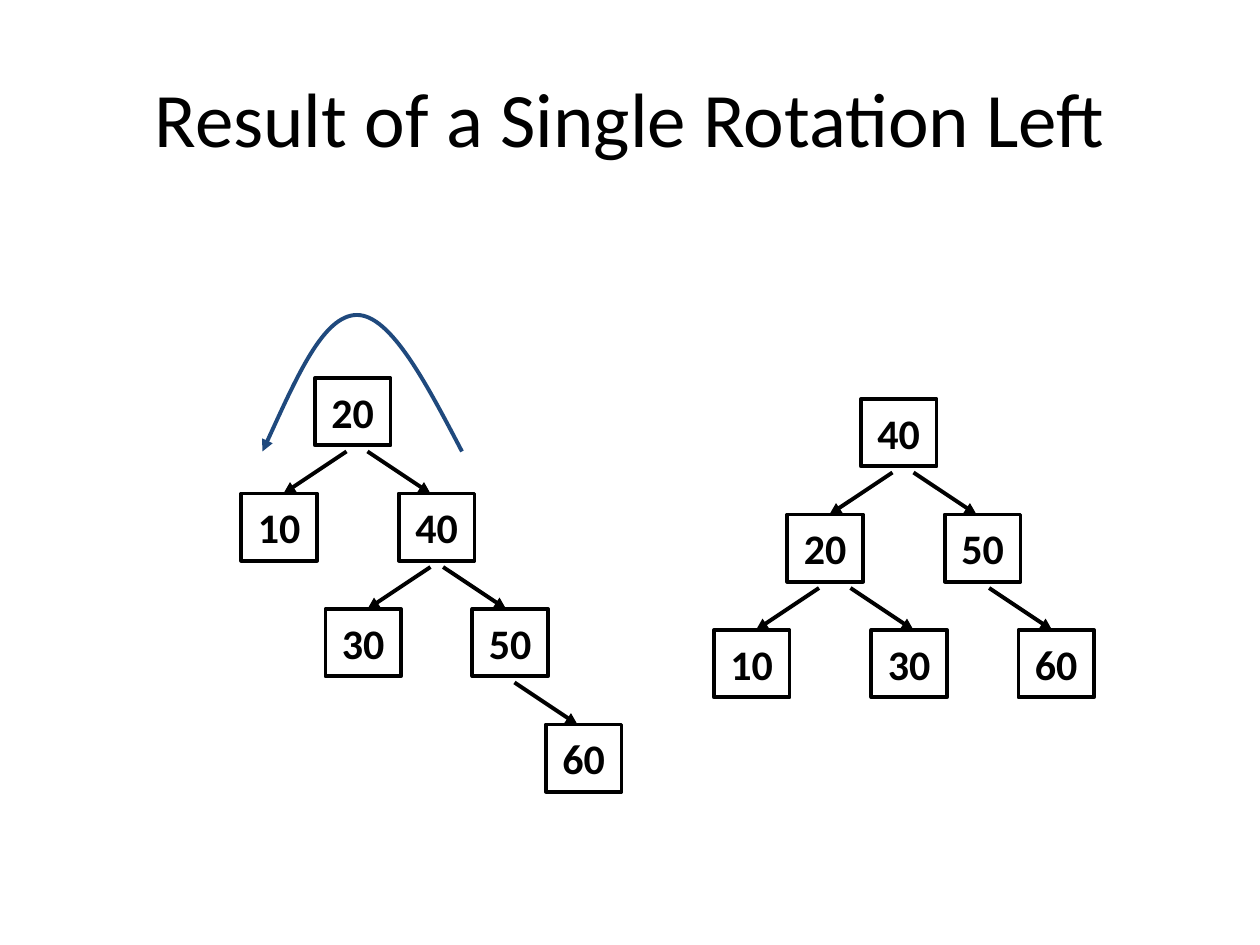
from typing import NamedTuple

from lxml.etree import SubElement
from pptx import Presentation
from pptx.dml.color import RGBColor
from pptx.enum.shapes import MSO_CONNECTOR as Connector, MSO_SHAPE as Shape
from pptx.enum.text import MSO_ANCHOR as Anchor, PP_ALIGN as Align
from pptx.oxml.ns import qn
from pptx.util import Emu, Pt

EMU_PER_PX = 7620
COLORS = {"black": "000000", "white": "FFFFFF", "blue": "1F497D"}
FONT = "Calibri"
NODE_WIDTH, NODE_HEIGHT = 72, 64
ARROW_DROP, ARROW_WIDTH, ARROW_HEIGHT = 70, 60, 40


class Node(NamedTuple):
    label: str
    left: int
    top: int


class Arrow(NamedTuple):
    left: int
    top: int
    direction: int


class Tree(NamedTuple):
    nodes: list[Node]
    arrows: list[Arrow]


BEFORE = Tree(
    [Node("20", 300, 360), Node("10", 230, 470), Node("40", 380, 470),
     Node("30", 310, 580), Node("50", 450, 580), Node("60", 520, 690)],
    [Arrow(330, 360, -1), Arrow(350, 360, 1), Arrow(410, 470, -1),
     Arrow(422, 470, 1), Arrow(490, 580, 1)],
)
AFTER = Tree(
    [Node("40", 820, 380), Node("20", 750, 490), Node("50", 900, 490),
     Node("10", 680, 600), Node("30", 830, 600), Node("60", 970, 600)],
    [Arrow(850, 380, -1), Arrow(870, 380, 1), Arrow(780, 490, -1),
     Arrow(810, 490, 1), Arrow(942, 490, 1)],
)
CURVE_START = (250, 430)
CURVE_POINTS = [(280, 365), (308, 300), (340, 300),
                (372, 300), (406, 365), (440, 430)]


def px(value: int) -> Emu:
    return Emu(value * EMU_PER_PX)


def color(name: str) -> RGBColor:
    return RGBColor.from_string(COLORS[name])


def style_line(shape, name: str, arrow_end: str = "") -> None:
    shape.line.color.rgb = color(name)
    shape.line.width = Pt(2.25)
    if arrow_end:
        SubElement(shape.line._get_or_add_ln(), qn(arrow_end), type="triangle")


def set_text(shape, text: str, size: int, bold: bool, wrap: bool) -> None:
    frame = shape.text_frame
    frame.text = text
    frame.word_wrap = wrap
    frame.vertical_anchor = Anchor.MIDDLE
    paragraph = frame.paragraphs[0]
    paragraph.alignment = Align.CENTER
    font = paragraph.runs[0].font
    font.name, font.size, font.bold = FONT, Pt(size), bold
    font.color.rgb = color("black")


def draw_title(slide, text: str) -> None:
    shape = slide.shapes.add_textbox(px(60), px(36), px(1080), px(150))
    set_text(shape, text, 44, False, True)


def draw_rotation_curve(slide) -> None:
    builder = slide.shapes.build_freeform(*CURVE_START, scale=EMU_PER_PX)
    builder.add_line_segments(CURVE_POINTS, close=False)
    shape = builder.convert_to_shape()
    shape.shadow.inherit = False
    shape.fill.background()
    style_line(shape, "blue", "a:headEnd")
    path = next(shape._element.iter(qn("a:path")))
    segments = path.findall(qn("a:lnTo"))
    for index, segment in enumerate(segments):
        if index % 3 == 0:
            curve = SubElement(path, qn("a:cubicBezTo"))
        curve.append(segment[0])
        path.remove(segment)


def draw_node(slide, node: Node) -> None:
    shape = slide.shapes.add_shape(
        Shape.RECTANGLE, px(node.left), px(node.top), px(NODE_WIDTH), px(NODE_HEIGHT))
    shape.shadow.inherit = False
    shape.fill.solid()
    shape.fill.fore_color.rgb = color("white")
    style_line(shape, "black")
    set_text(shape, node.label, 24, True, False)


def draw_arrow(slide, arrow: Arrow) -> None:
    top = arrow.top + ARROW_DROP
    connector = slide.shapes.add_connector(
        Connector.STRAIGHT, px(arrow.left), px(top),
        px(arrow.left + arrow.direction * ARROW_WIDTH), px(top + ARROW_HEIGHT))
    style_line(connector, "black", "a:tailEnd")
    SubElement(connector._element.spPr, qn("a:effectLst"))


def draw_tree(slide, tree: Tree) -> None:
    for node in tree.nodes:
        draw_node(slide, node)
    for arrow in tree.arrows:
        draw_arrow(slide, arrow)


def main() -> None:
    presentation = Presentation()
    presentation.slide_width, presentation.slide_height = px(1200), px(900)
    slide = presentation.slides.add_slide(presentation.slide_layouts[6])
    draw_rotation_curve(slide)
    draw_title(slide, "Result of a Single Rotation Left")
    for tree in (AFTER, BEFORE):
        draw_tree(slide, tree)
    presentation.save("out.pptx")


if __name__ == "__main__":
    main()
